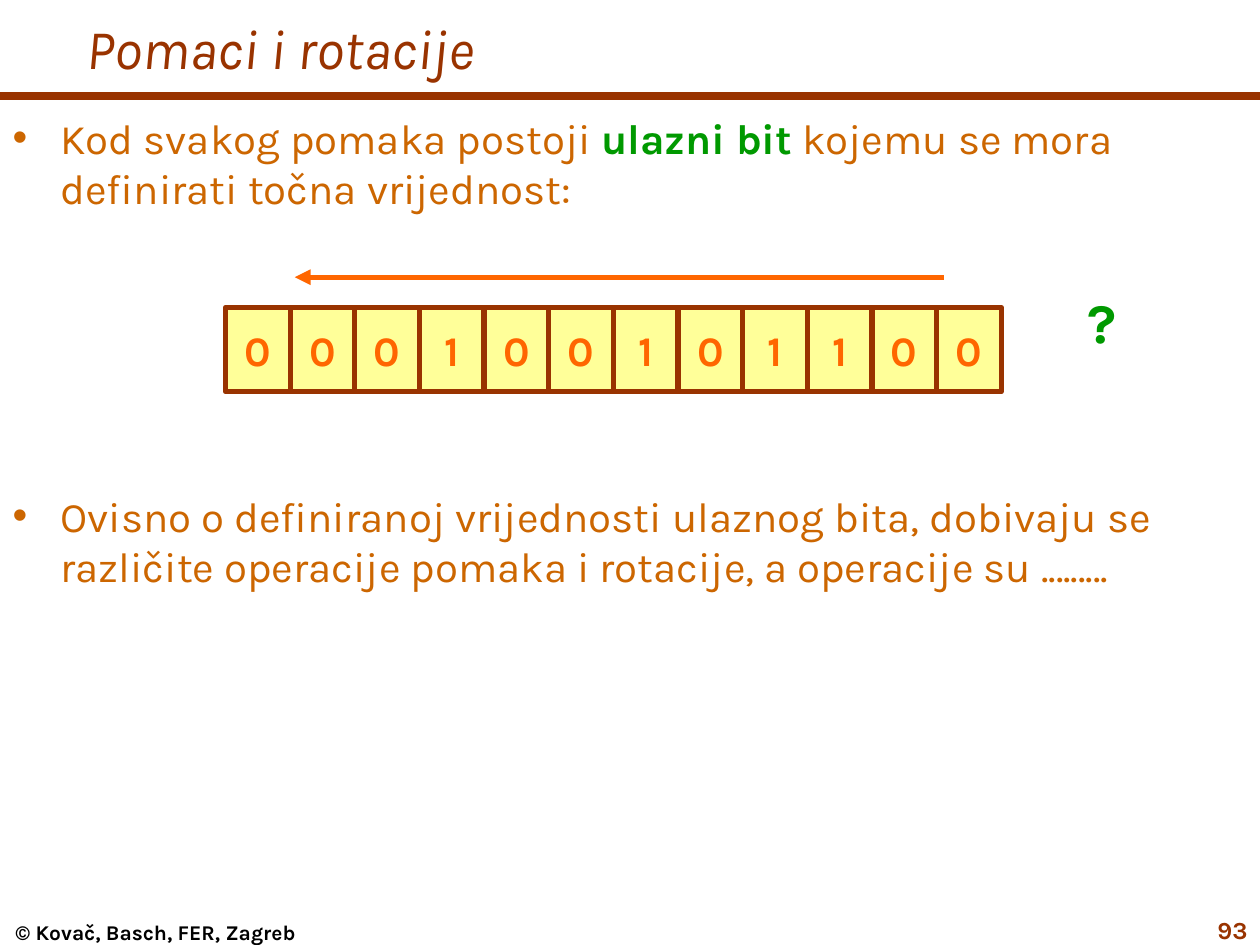
from lxml.etree import SubElement
from pptx import Presentation
from pptx.dml.color import RGBColor
from pptx.enum.shapes import MSO_CONNECTOR, MSO_SHAPE
from pptx.enum.text import MSO_ANCHOR, MSO_AUTO_SIZE, PP_ALIGN
from pptx.oxml.ns import qn
from pptx.util import Inches, Pt

FONT = "Karla"
BROWN, OCHRE, ORANGE = "993300", "CC6600", "FF6600"
GREEN, YELLOW, BLACK = "009900", "FFFF99", "000000"
BITS = "000100101100"
CELL_LEFT, CELL_TOP, CELL_PITCH, CELL_HEIGHT = 1.79, 2.44, 0.513, 0.67


def rgb(color):
    """Turn a hex string into a colour."""
    return RGBColor.from_string(color)


def style(paragraph, size, color, bold=False, italic=False, align=PP_ALIGN.LEFT):
    """Format a whole paragraph."""
    paragraph.alignment = align
    paragraph.space_before = Pt(0)
    font = paragraph.font
    font.name, font.size = FONT, Pt(size)
    font.bold, font.italic = bold, italic
    font.color.rgb = rgb(color)


def place(shape, left, top, width, height):
    """Set the position and size of a shape."""
    shape.left, shape.top = Inches(left), Inches(top)
    shape.width, shape.height = Inches(width), Inches(height)


def fill_title(title, text):
    """Write the slide title."""
    place(title, 0.59, 0, 9.41, 0.75)
    frame = title.text_frame
    frame.text = text
    frame.auto_size = MSO_AUTO_SIZE.NONE
    frame.vertical_anchor = MSO_ANCHOR.MIDDLE
    style(frame.paragraphs[0], 32, BROWN, italic=True)


def fill_bullet(placeholder, box, parts):
    """Write one bulleted paragraph from (text, highlighted) parts."""
    place(placeholder, *box)
    frame = placeholder.text_frame
    frame.auto_size = MSO_AUTO_SIZE.NONE
    frame.vertical_anchor = MSO_ANCHOR.TOP
    paragraph = frame.paragraphs[0]
    properties = paragraph._p.get_or_add_pPr()
    properties.set("marL", str(Inches(0.38)))
    properties.set("indent", str(-Inches(0.38)))
    bullet_color = SubElement(properties, qn("a:buClr"))
    SubElement(bullet_color, qn("a:srgbClr")).set("val", OCHRE)
    SubElement(properties, qn("a:buChar")).set("char", "•")
    style(paragraph, 24, OCHRE)
    for text, highlighted in parts:
        run = paragraph.add_run()
        run.text = text
        if highlighted:
            run.font.bold = True
            run.font.color.rgb = rgb(GREEN)


def add_label(slide, box, text, size, color, align, margins):
    """Add a bold one-line text box with horizontal and vertical margins."""
    label = slide.shapes.add_textbox(*map(Inches, box))
    frame = label.text_frame
    frame.word_wrap = True
    frame.margin_left = frame.margin_right = Inches(margins[0])
    frame.margin_top = frame.margin_bottom = Inches(margins[1])
    frame.text = text
    style(frame.paragraphs[0], size, color, bold=True, align=align)


def add_line(slide, start, end, color, width, arrow=False):
    """Add a straight line, with an arrowhead at its end if wanted."""
    line = slide.shapes.add_connector(
        MSO_CONNECTOR.STRAIGHT, *map(Inches, start + end))
    line.line.color.rgb = rgb(color)
    line.line.width = Pt(width)
    if arrow:
        SubElement(line.line._get_or_add_ln(), qn("a:tailEnd")).set("type", "triangle")
    SubElement(line._element.spPr, qn("a:effectLst"))


def add_bit(slide, index, bit):
    """Add one cell of the register."""
    cell = slide.shapes.add_shape(
        MSO_SHAPE.RECTANGLE, Inches(CELL_LEFT + index * CELL_PITCH),
        Inches(CELL_TOP), Inches(CELL_PITCH), Inches(CELL_HEIGHT))
    cell.shadow.inherit = False
    cell.fill.solid()
    cell.fill.fore_color.rgb = rgb(YELLOW)
    cell.line.color.rgb = rgb(BROWN)
    cell.line.width = Pt(3)
    frame = cell.text_frame
    frame.margin_left = frame.margin_right = 0
    frame.vertical_anchor = MSO_ANCHOR.MIDDLE
    frame.text = bit
    style(frame.paragraphs[0], 24, ORANGE, bold=True, align=PP_ALIGN.CENTER)


def main():
    """Build the slide on shifts and rotations."""
    presentation = Presentation()
    presentation.slide_width, presentation.slide_height = Inches(10), Inches(7.5)
    slide = presentation.slides.add_slide(
        presentation.slide_layouts.get_by_name("Two Content"))
    add_line(slide, (0, 0.76), (10, 0.76), BROWN, 4.5)
    fill_title(slide.shapes.title, "Pomaci i rotacije")
    fill_bullet(slide.placeholders[1], (0, 0.84, 10, 1.07), [
        ("Kod svakog pomaka postoji ", False),
        ("ulazni bit", True),
        (" kojemu se mora definirati točna vrijednost:", False)])
    fill_bullet(slide.placeholders[2], (0, 3.84, 9.47, 1.34), [
        ("Ovisno o definiranoj vrijednosti ulaznog bita, dobivaju se različite "
         "operacije pomaka i rotacije, a operacije su .........", False)])
    for index, bit in enumerate(BITS):
        add_bit(slide, index, bit)
    add_line(slide, (7.49, 2.2), (2.34, 2.2), ORANGE, 3, arrow=True)
    add_label(slide, (8.49, 2.23, 0.51, 0.64), "?", 32, GREEN,
              PP_ALIGN.CENTER, (0, 0.05))
    add_label(slide, (0, 7.3, 2.47, 0.2), "© Kovač, Basch, FER, Zagreb", 12, BLACK,
              PP_ALIGN.CENTER, (0, 0))
    add_label(slide, (9.17, 7.21, 0.83, 0.28), "93", 14, BROWN,
              PP_ALIGN.RIGHT, (0.1, 0.05))
    presentation.save("out.pptx")


if __name__ == "__main__":
    main()
